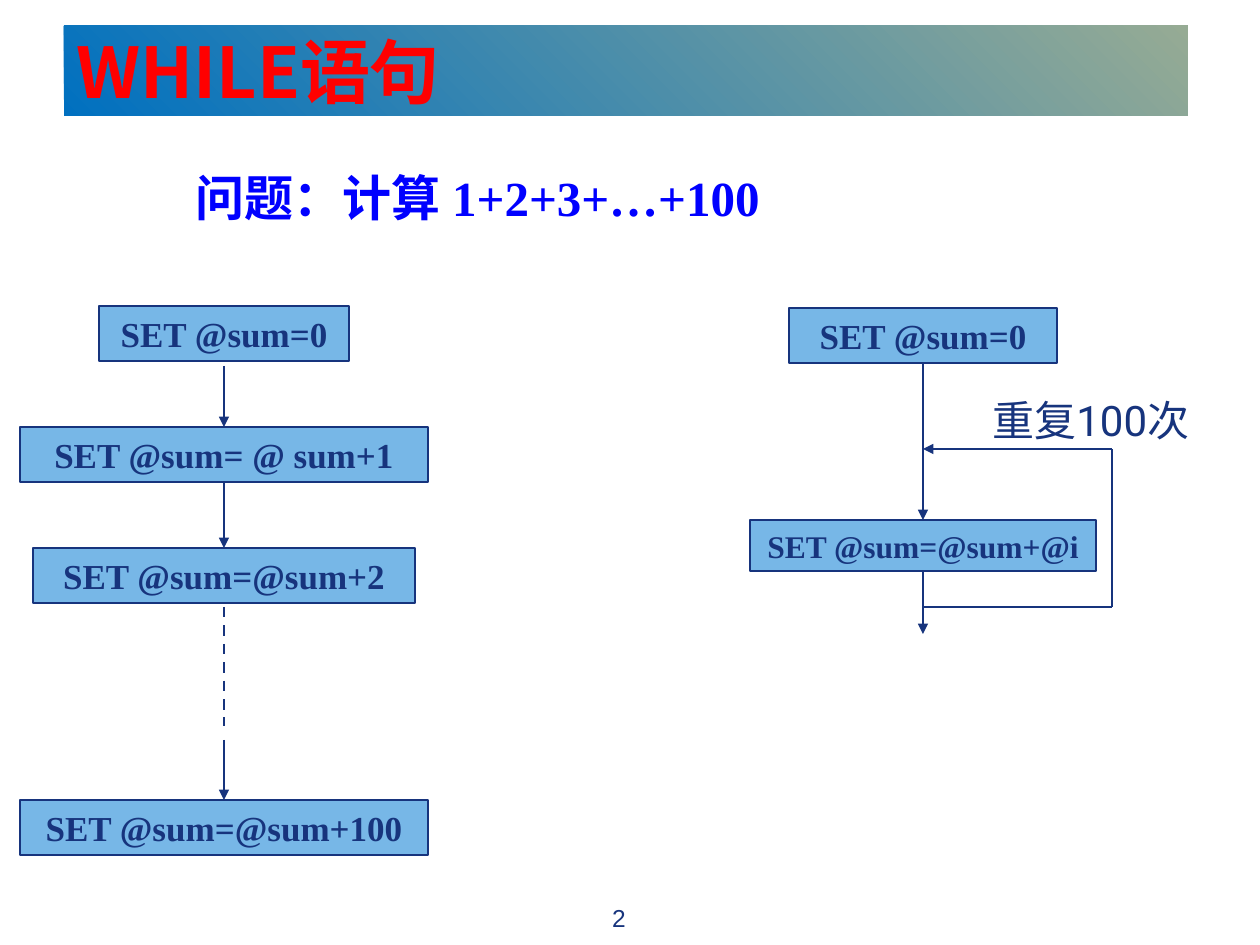
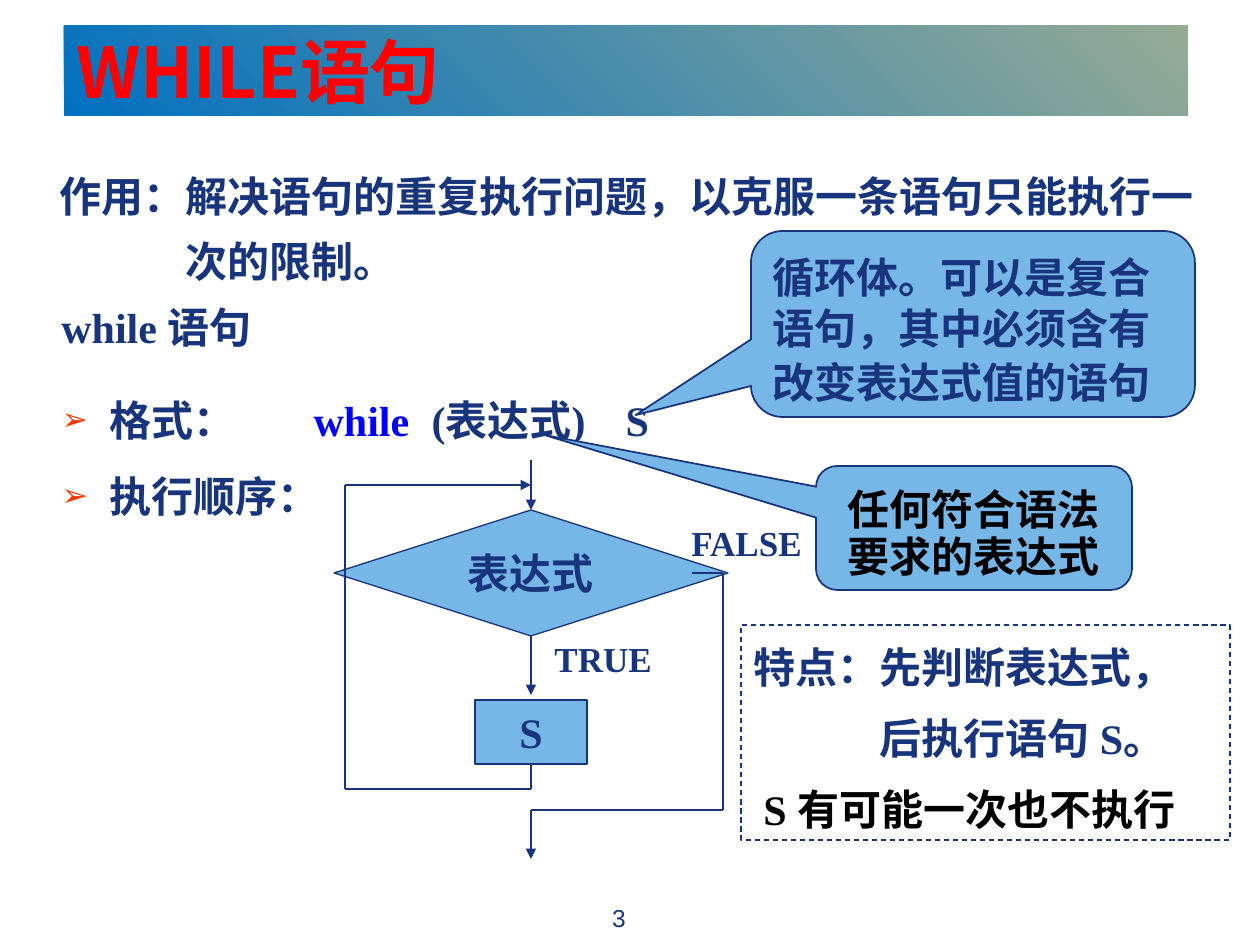
from dataclasses import dataclass

from lxml import etree
from pptx import Presentation
from pptx import util as u
from pptx.dml.color import RGBColor
from pptx.enum import dml, shapes, text
from pptx.oxml.ns import qn

COLOURS = {
    "navy": "17347D",
    "sky": "77B7E7",
    "blue": "0000FF",
    "red": "FF0000",
    "black": "000000",
    "bullet": "FF3300",
    "band_start": "0070C0",
    "band_end": "96AB94",
}
SERIF, EAST_ASIAN, HEADING = "Times New Roman", "Roboto", "Noto Sans CJK SC"
LEFT, CENTER = text.PP_ALIGN.LEFT, text.PP_ALIGN.CENTER
TOP, MIDDLE = text.MSO_ANCHOR.TOP, text.MSO_ANCHOR.MIDDLE
SHAPE = shapes.MSO_SHAPE


def px(length):
    return u.Emu(round(length * 914400 / 126))


def rgb(name):
    return RGBColor.from_string(COLOURS[name])


def add_xml(parent, tag, **attributes):
    return etree.SubElement(parent, qn(tag), attributes)


@dataclass
class Para:
    """One paragraph: spans are (text, colour name) pairs, lengths are px."""
    spans: list
    spacing: float = 1.0
    before: int = 0
    margin: int = 0
    bullet: str = ""
    tabs: tuple = ()


class Deck:
    def __init__(self):
        self.show = Presentation()
        self.show.slide_width, self.show.slide_height = px(1260), px(945)
        self.page = None

    # Pages
    def new_page(self, title, number, layout):
        self.page = self.show.slides.add_slide(self.show.slide_layouts[layout])
        band = self.page.shapes.title
        self.place(band, 64, 26, 1124, 90)
        band.fill.gradient()
        band.fill.gradient_angle = 45
        for stop, name in zip(band.fill.gradient_stops, ("band_start", "band_end")):
            stop.color.rgb = rgb(name)
        self.fill_text(band, [Para([(title, "red")])], 40, anchor=MIDDLE,
                       font=HEADING, east_asian=HEADING)
        self.label(472, 897, 294, 43, [Para([(number, "navy")])], 14,
                   align=CENTER, font="Arial", bold=False)

    def place(self, box, left, top, width, height):
        box.left, box.top, box.width, box.height = map(px, (left, top, width, height))

    # Text
    def fill_text(self, box, paras, size=24, align=LEFT, anchor=TOP, wrap=True,
                  font=SERIF, east_asian=EAST_ASIAN, bold=True):
        frame = box.text_frame
        frame.word_wrap = wrap
        frame.auto_size = text.MSO_AUTO_SIZE.NONE
        frame.vertical_anchor = anchor
        for index, item in enumerate(paras):
            para = frame.add_paragraph() if index else frame.paragraphs[0]
            self.indent(para, item)
            para.alignment = align
            para.line_spacing = item.spacing
            para.space_before = u.Pt(item.before if index else 0)
            for words, colour in item.spans:
                span = para.add_run()
                span.text = words
                span.font.size, span.font.bold = u.Pt(size), bold
                span.font.color.rgb = rgb(colour)
                span.font.name = font
                add_xml(span._r.get_or_add_rPr(), "a:ea", typeface=east_asian)

    def indent(self, para, item):
        props = para._p.get_or_add_pPr()
        if item.margin:
            props.set("marL", str(px(item.margin)))
        if item.bullet:
            props.set("indent", str(-px(item.margin)))
            colour = add_xml(props, "a:buClr")
            add_xml(colour, "a:srgbClr", val=COLOURS["bullet"])
            add_xml(props, "a:buSzPct", val="75000")
            add_xml(props, "a:buChar", char=item.bullet)
        if item.tabs:
            stops = add_xml(props, "a:tabLst")
            for stop in item.tabs:
                add_xml(stops, "a:tab", pos=str(px(stop)), algn="l")

    def label(self, left, top, width, height, paras, size=24, **style):
        box = self.page.shapes.add_textbox(*map(px, (left, top, width, height)))
        self.fill_text(box, paras, size, **style)

    def bullets(self, left, top, width, height, paras):
        box = self.page.placeholders[1]
        self.place(box, left, top, width, height)
        self.fill_text(box, paras)

    # Shapes
    def shape(self, kind, left, top, width, height, weight=0.75, fill="sky"):
        box = self.page.shapes.add_shape(kind, *map(px, (left, top, width, height)))
        box.shadow.inherit = False
        if fill:
            box.fill.solid()
            box.fill.fore_color.rgb = rgb(fill)
        else:
            box.fill.background()
        box.line.color.rgb = rgb("navy")
        box.line.width = u.Pt(weight)
        return box

    def node(self, words, middle, top, width, height, size=20, kind=SHAPE.RECTANGLE):
        box = self.shape(kind, middle - width / 2, top, width, height)
        self.fill_text(box, [Para([(words, "navy")])], size, CENTER, MIDDLE, wrap=False)
        return box

    def callout(self, left, top, width, height, tip, paras, align=LEFT):
        box = self.shape(SHAPE.ROUNDED_RECTANGULAR_CALLOUT, left, top, width, height, 1)
        for index, value in enumerate((*tip, 0.17)):
            box.adjustments[index] = value
        self.fill_text(box, paras, align=align)

    def dashed_box(self, left, top, width, height, paras):
        box = self.shape(SHAPE.RECTANGLE, left, top, width, height, fill=None)
        box.line.dash_style = dml.MSO_LINE.DASH
        self.fill_text(box, paras)

    # Lines: one segment between each pair of points, arrowhead on the last
    def route(self, *points, weight=1, arrow=True, dash=False, begin=None, end=None):
        last = len(points) - 2
        for index, (start, stop) in enumerate(zip(points, points[1:])):
            line = self.page.shapes.add_connector(
                shapes.MSO_CONNECTOR.STRAIGHT, *map(px, (*start, *stop)))
            line.line.color.rgb = rgb("navy")
            line.line.width = u.Pt(weight)
            if dash:
                line.line.dash_style = dml.MSO_LINE.DASH
            props = line._element.spPr
            if arrow and index == last:
                add_xml(props.find(qn("a:ln")), "a:tailEnd", type="triangle")
            add_xml(props, "a:effectLst")
            if begin and index == 0:
                line.begin_connect(begin, 2)
            if end and index == last:
                line.end_connect(end, 0)


def sum_page(deck):
    deck.new_page("WHILE语句", "2", layout=5)
    deck.label(183, 132, 751, 101, [Para([("问题：计算 1+2+3+…+100", "blue")], 1.5)], 28)

    # Step by step
    axis = 224
    deck.node("SET @sum=0", axis, 306, 250, 55)
    first = deck.node("SET @sum= @ sum+1", axis, 427, 408, 55)
    second = deck.node("SET @sum=@sum+2", axis, 548, 382, 55)
    final = deck.node("SET @sum=@sum+100", axis, 800, 408, 55)
    deck.route((axis, 366), (axis, 427), end=first)
    deck.route((axis, 482), (axis, 548), begin=first, end=second)
    deck.route((axis, 607), (axis, 726), weight=1.5, arrow=False, dash=True)
    deck.route((axis, 740), (axis, 800), end=final)

    # Loop
    axis = 923
    start = deck.node("SET @sum=0", axis, 308, 268, 55)
    step = deck.node("SET @sum=@sum+@i", axis, 520, 346, 51, 18)
    deck.route((axis, 363), (axis, 520), begin=start, end=step)
    deck.route((axis, 571), (axis, 634), begin=step)
    deck.route((axis, 607), (1112, 607), (1112, 449), (axis, 449))
    deck.label(980, 388, 223, 113, [Para([("重复100次", "navy")])],
               font="Roboto", bold=False)


def while_page(deck):
    deck.new_page("WHILE语句", "3", layout=1)

    # Purpose and syntax
    deck.label(47, 149, 1179, 144, [
        Para([("作用：解决语句的重复执行问题，以克服一条语句只能执行一", "navy")], 1.3),
        Para([("次的限制。", "navy")], 1.3, margin=126),
    ])
    deck.label(49, 305, 339, 53, [Para([("while 语句", "navy")], 0.8)], anchor=MIDDLE)
    syntax = [("格式：\t", "navy"), ("while", "blue"), ("\t(表达式)\tS", "navy")]
    deck.bullets(49, 373, 736, 154, [
        Para(syntax, 1.3, 6, 48, "➢", (252, 370, 564)),
        Para([("执行顺序：", "navy")], 1.3, 6, 48, "➢"),
    ])

    # Callouts
    deck.callout(816, 466, 316, 124, (-1.36, -0.75), [
        Para([("任何符合语法", "black")], 1.1),
        Para([("要求的表达式", "black")], 0.3, 15),
    ], CENTER)
    deck.callout(751, 231, 444, 186, (-0.76, 0.49), [
        Para([("循环体。可以是复合", "navy")], 1.1),
        Para([("语句，其中必须含有", "navy")], 0.4, 15),
        Para([("改变表达式值的语句", "navy")], 0.6, 15),
    ])

    # Flowchart
    axis, weight = 531, 0.75
    test = deck.node("表达式", axis, 510, 394, 126, 24, SHAPE.FLOWCHART_DECISION)
    body = deck.node("S", axis, 700, 112, 64, 24)
    deck.route((axis, 460), (axis, 510), weight=weight, end=test)
    deck.route((axis, 636), (axis, 695), weight=weight, begin=test)
    deck.route((axis, 764), (axis, 789), (345, 789), (345, 485), (axis, 485),
               weight=weight, begin=body)
    deck.route((692, 573), (723, 573), (723, 810), (axis, 810), (axis, 859),
               weight=weight)
    deck.label(542, 631, 130, 55, [Para([("TRUE", "navy")])], 20)
    deck.label(679, 515, 149, 63, [Para([("FALSE", "navy")])], 20)

    # Features
    deck.dashed_box(741, 625, 489, 215, [
        Para([("特点：先判断表达式，", "navy")], 1.2),
        Para([("后执行语句 S。", "navy")], 1.2, 6, 126),
        Para([("S 有可能一次也不执行", "black")], 1.2, 6, 10),
    ])


def main():
    deck = Deck()
    sum_page(deck)
    while_page(deck)
    deck.show.save("out.pptx")


if __name__ == "__main__":
    main()
